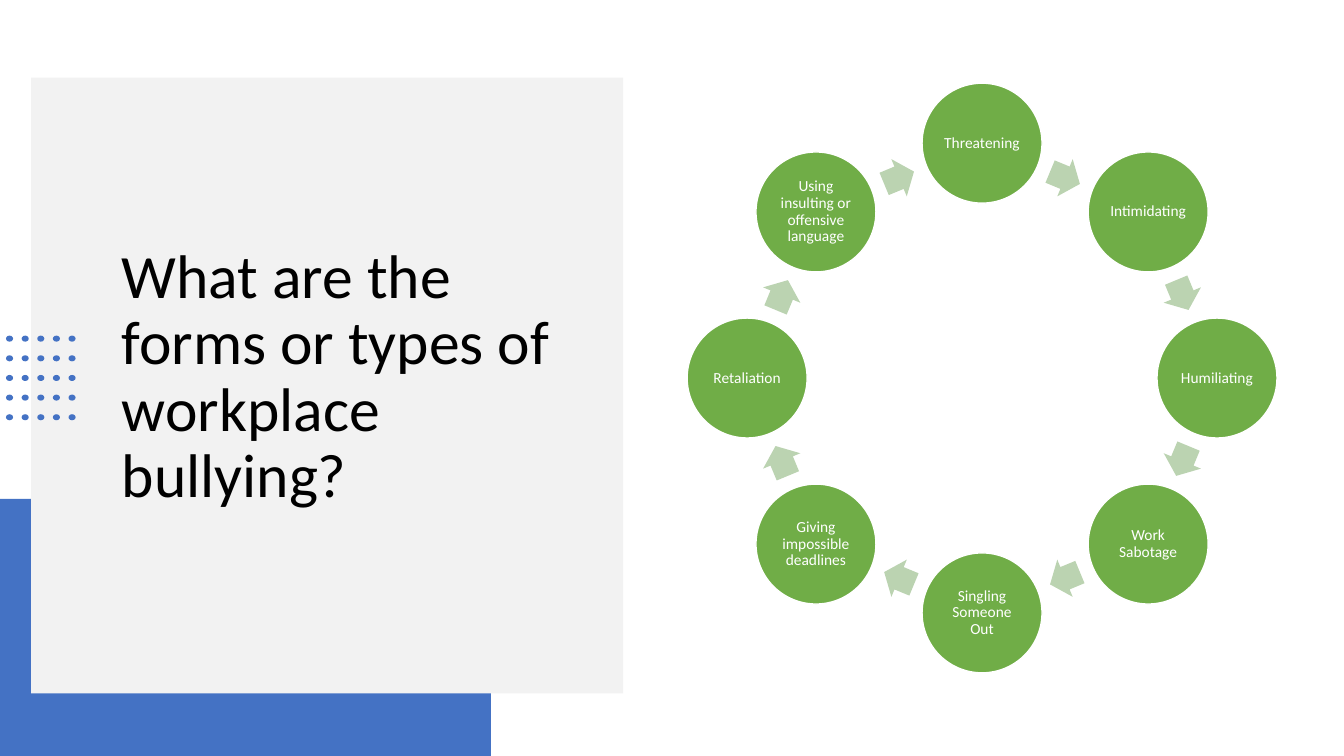
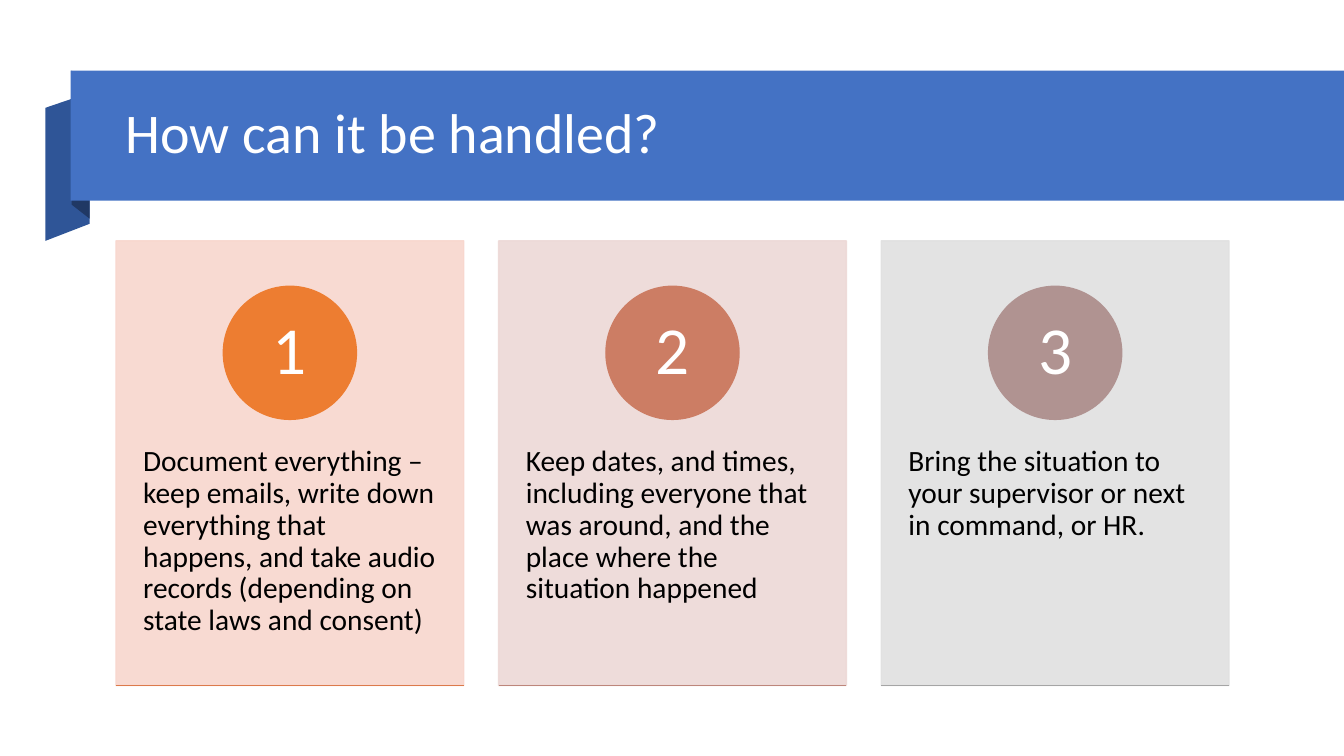
from math import cos, radians, sin

from lxml.etree import SubElement
from pptx import Presentation
from pptx.dml.color import RGBColor
from pptx.enum.shapes import MSO_CONNECTOR, MSO_SHAPE
from pptx.enum.text import MSO_ANCHOR, PP_ALIGN
from pptx.oxml.ns import qn
from pptx.util import Inches, Pt

BLUE = RGBColor(0x44, 0x72, 0xC4)
NAVY = RGBColor(0x2F, 0x55, 0x97)
DARK = RGBColor(0x20, 0x38, 0x64)
GRAY = RGBColor(0xF2, 0xF2, 0xF2)
GREEN = RGBColor(0x70, 0xAD, 0x47)
PALE = RGBColor(0xBB, 0xD3, 0xB1)
WHITE = RGBColor(0xFF, 0xFF, 0xFF)
BLACK = RGBColor(0, 0, 0)
FONT = "Calibri"


def draw(slide, kind, box, fill, line=None):
    shape = slide.shapes.add_shape(kind, *map(Inches, box))
    shape.shadow.inherit = False
    shape.fill.solid()
    shape.fill.fore_color.rgb = fill
    if line is None:
        shape.line.fill.background()
    else:
        shape.line.color.rgb = line
        shape.line.width = Pt(1)
    return shape


def write(shape, text, size, color, pads=(0.1, 0.05, 0.1, 0.05),
          align=PP_ALIGN.LEFT, anchor=MSO_ANCHOR.MIDDLE):
    frame = shape.text_frame
    frame.word_wrap = True
    frame.vertical_anchor = anchor
    frame.margin_left, frame.margin_top, frame.margin_right, frame.margin_bottom = map(Inches, pads)
    para = frame.paragraphs[0]
    para.text = text
    para.alignment = align
    para.line_spacing = 0.9
    para.font.name = FONT
    para.font.size = Pt(size)
    para.font.color.rgb = color


deck = Presentation()
deck.slide_width = Inches(13.33)
deck.slide_height = Inches(7.5)
blank = deck.slide_layouts[6]

slide = deck.slides.add_slide(blank)
draw(slide, MSO_SHAPE.RECTANGLE, (0, 4.95, 4.87, 2.55), BLUE)
draw(slide, MSO_SHAPE.RECTANGLE, (0.31, 0.77, 5.87, 6.11), GRAY)
title = slide.shapes.add_textbox(Inches(1.11), Inches(1.47), Inches(4.59), Inches(4.56))
write(title, "What are the forms or types of workplace bullying?", 44, BLACK)

for col in range(5):
    for row in range(5):
        box = (0.06 + 0.155 * col, 3.33 + 0.195 * row, 0.07, 0.06)
        draw(slide, MSO_SHAPE.OVAL, box, BLUE)

forms = [
    "Threatening", "Intimidating", "Humiliating", "Work Sabotage",
    "Singling Someone Out", "Giving impossible deadlines", "Retaliation",
    "Using insulting or offensive language",
]
mid_x, mid_y = 9.74, 3.75
ring, track = 2.33, 2.15
size, wide, high = 1.19, 0.32, 0.4
step = 360 / len(forms)
for i, form in enumerate(forms):
    turn = radians(i * step)
    left = mid_x + ring * sin(turn) - size / 2
    top = mid_y - ring * cos(turn) - size / 2
    node = draw(slide, MSO_SHAPE.OVAL, (left, top, size, size), GREEN, WHITE)
    write(node, form, 11, WHITE, (0.02,) * 4, PP_ALIGN.CENTER)

    angle = (i + 0.5) * step
    turn = radians(angle)
    left = mid_x + track * sin(turn) - wide / 2
    top = mid_y - track * cos(turn) - high / 2
    arrow = draw(slide, MSO_SHAPE.RIGHT_ARROW, (left, top, wide, high), PALE)
    arrow.adjustments[0] = 0.6
    arrow.adjustments[1] = 0.5
    arrow.rotation = angle

slide = deck.slides.add_slide(blank)
folds = [
    (NAVY, [(0.89, 2.22), (0.45, 2.39), (0.45, 1.07), (0.89, 0.92)]),
    (DARK, [(0.89, 2.17), (0.71, 2.03), (0.71, 0.7), (0.89, 0.85)]),
]
for color, points in folds:
    points = [(Inches(x), Inches(y)) for x, y in points]
    pen = slide.shapes.build_freeform(*points[0])
    pen.add_line_segments(points[1:], close=True)
    fold = pen.convert_to_shape()
    fold.shadow.inherit = False
    fold.fill.solid()
    fold.fill.fore_color.rgb = color
    fold.line.fill.background()

draw(slide, MSO_SHAPE.RECTANGLE, (0.7, 0.7, 12.63, 1.29), BLUE)
title = slide.shapes.add_textbox(Inches(1.15), Inches(0.86), Inches(11.27), Inches(0.96))
write(title, "How can it be handled?", 40, WHITE)

cards = [
    ("Document everything – keep emails, write down everything that happens, "
     "and take audio records (depending on state laws and consent)",
     RGBColor(0xF8, 0xD7, 0xCE), RGBColor(0xED, 0x7D, 0x31), RGBColor(0xDC, 0x7A, 0x4B)),
    ("Keep dates, and times, including everyone that was around, "
     "and the place where the situation happened",
     RGBColor(0xED, 0xD9, 0xD7), RGBColor(0xCC, 0x7D, 0x64), RGBColor(0xBD, 0x86, 0x7B)),
    ("Bring the situation to your supervisor or next in command, or HR.",
     RGBColor(0xE1, 0xE1, 0xE1), RGBColor(0xB0, 0x93, 0x91), RGBColor(0xA5, 0xA5, 0xA5)),
]
top, wide, high, disc = 2.39, 3.45, 4.41, 1.32
for i, (text, tint, tone, edge) in enumerate(cards):
    left = 1.15 + 3.795 * i
    card = draw(slide, MSO_SHAPE.RECTANGLE, (left, top, wide, high), tint, tint)
    for color in card._element.spPr.iter(qn("a:srgbClr")):
        SubElement(color, qn("a:alpha")).set("val", "90000")
    write(card, text, 21, BLACK, (0.27, 2.04, 0.27, 0.36), anchor=MSO_ANCHOR.TOP)

    box = (left + (wide - disc) / 2, 2.84, disc, disc)
    badge = draw(slide, MSO_SHAPE.OVAL, box, tone, tone)
    write(badge, str(i + 1), 48, WHITE, (0.1, 0.01, 0.1, 0.01), PP_ALIGN.CENTER)

    ends = (left, top + high, left + wide, top + high)
    rule = slide.shapes.add_connector(MSO_CONNECTOR.STRAIGHT, *map(Inches, ends))
    rule.line.color.rgb = edge
    rule.line.width = Pt(1)
    SubElement(rule._element.spPr, qn("a:effectLst"))

deck.save("out.pptx")
